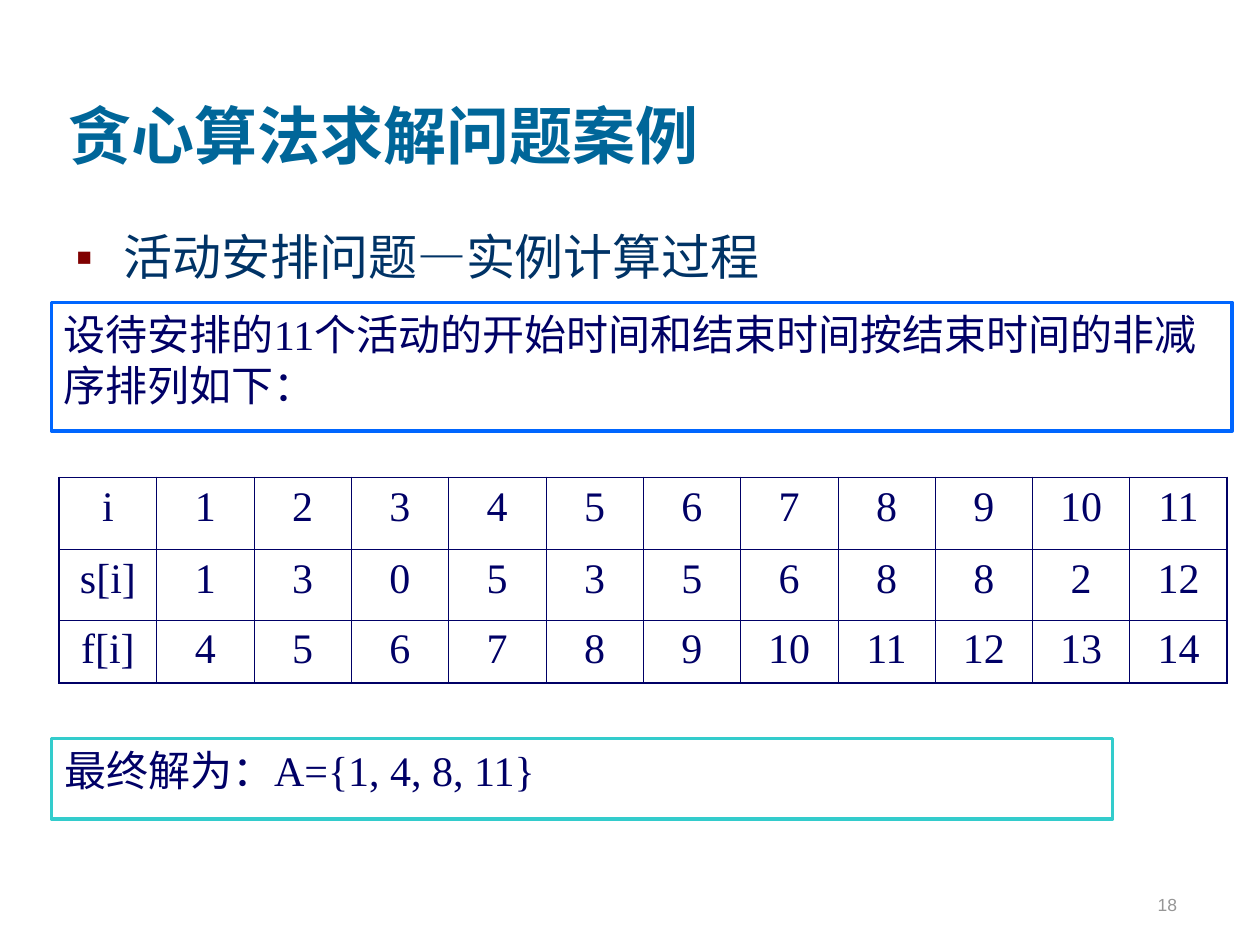
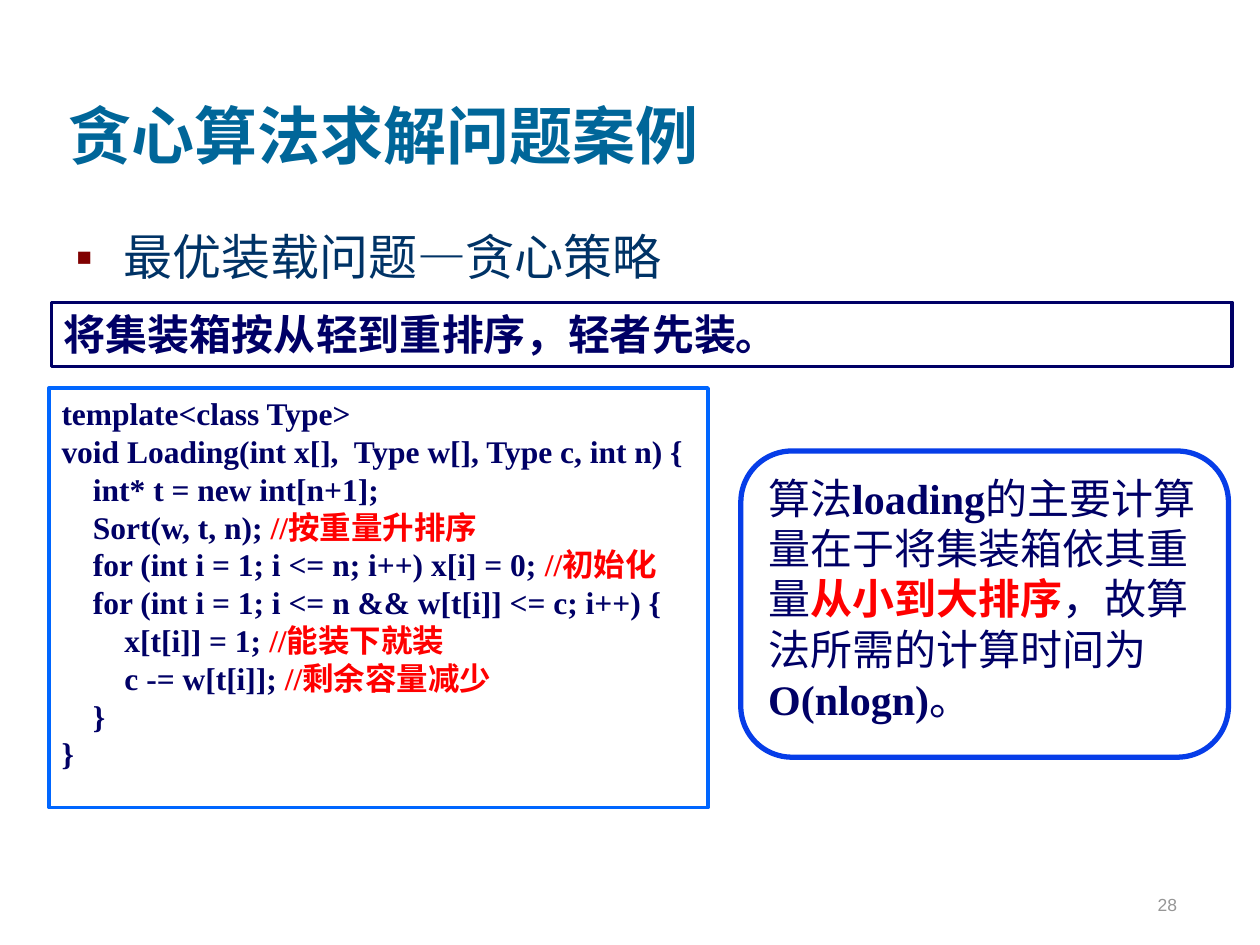
"""Builds two lecture slides on greedy algorithms."""
from dataclasses import dataclass

from lxml.etree import SubElement
from pptx import Presentation
from pptx.dml.color import RGBColor
from pptx.enum.lang import MSO_LANGUAGE_ID
from pptx.enum.shapes import MSO_SHAPE
from pptx.enum.text import MSO_ANCHOR, MSO_AUTO_SIZE, PP_ALIGN
from pptx.oxml.ns import qn
from pptx.util import Emu, Inches, Pt

SLIDE_W, SLIDE_H = Inches(10), Inches(7.5)
COLS, ROWS = 100, 75
NAVY, TITLE_BLUE, BODY_BLUE = "000066", "006699", "003366"
BRIGHT_BLUE, ROYAL_BLUE, TEAL = "0066FF", "063DE8", "33CCCC"
RED, MAROON, GRAY, WHITE = "FF0000", "800000", "969696", "FFFFFF"
SERIF, SANS, ACCENT_FONT = "Times New Roman", "Arial", "Vollkorn"
TITLE = "贪心算法求解问题案例"
THIN, THICK = 0.45, 1.08


@dataclass(frozen=True)
class Box:
    """A rectangle in columns and rows of the slide grid."""
    left: float
    top: float
    width: float
    height: float

    def emu(self) -> tuple:
        """Return left, top, width and height as lengths."""
        return col(self.left), row(self.top), col(self.width), row(self.height)


@dataclass(frozen=True)
class Span:
    """A piece of text with its own format."""
    text: str
    color: str = NAVY
    bold: bool = False
    font: str = SERIF


@dataclass(frozen=True)
class Panel:
    """An outlined box holding paragraphs of spans."""
    box: Box
    line: str
    paragraphs: list
    size: int = 24
    weight: float = 2
    shape: MSO_SHAPE = MSO_SHAPE.RECTANGLE


TITLE_BOX = Box(4.4, 1.7, 85, 12.5)
BODY_BOX = Box(5, 17.5, 89.4, 48.8)
NUMBER_BOX = Box(73.6, 68.1, 20.8, 5)
TABLE_BOX = Box(4.7, 37.9, 92.7, 16.3)
TABLE_ROWS = [5.7, 5.6, 5]

ACTIVITIES = [
    ["i", *range(1, 12)],
    ["s[i]", 1, 3, 0, 5, 3, 5, 6, 8, 8, 2, 12],
    ["f[i]", *range(4, 15)],
]

CODE = """template<class Type>
void Loading(int x[],  Type w[], Type c, int n) {
    int* t = new int[n+1];
    Sort(w, t, n); //按重量升排序
    for (int i = 1; i <= n; i++) x[i] = 0; //初始化
    for (int i = 1; i <= n && w[t[i]] <= c; i++) {
        x[t[i]] = 1; //能装下就装
        c -= w[t[i]]; //剩余容量减少
    }
}"""


def col(n: float) -> Emu:
    """Return the length of n grid columns."""
    return Emu(round(SLIDE_W * n / COLS))


def row(n: float) -> Emu:
    """Return the length of n grid rows."""
    return Emu(round(SLIDE_H * n / ROWS))


def rgb(value: str) -> RGBColor:
    """Turn a hex string into a colour."""
    return RGBColor.from_string(value)


def add_text(p, text: str, *, size: float, color: str = NAVY,
             bold: bool = False, font: str = SERIF) -> None:
    """Append a formatted run to a paragraph."""
    r = p.add_run()
    r.text = text
    r.font.size = Pt(size)
    r.font.bold = bold
    r.font.name = font
    r.font.color.rgb = rgb(color)
    r.font.language_id = MSO_LANGUAGE_ID.SIMPLIFIED_CHINESE


def add_spans(p, spans: list, size: float) -> None:
    """Append spans of one size to a paragraph."""
    for span in spans:
        add_text(p, span.text, size=size, color=span.color,
                 bold=span.bold, font=span.font)


def code_spans(line: str) -> list:
    """Split a code line into bold code and its red comment."""
    code, mark, note = line.partition("//")
    spans = [Span(code, bold=True)]
    return spans + [Span(mark + note, RED, True)] if mark else spans


def add_bullet(p) -> None:
    """Give a paragraph a hanging square bullet."""
    pPr = p._p.get_or_add_pPr()
    pPr.set("marL", str(Inches(0.38)))
    pPr.set("indent", str(-Inches(0.38)))
    SubElement(SubElement(pPr, qn("a:buClr")), qn("a:srgbClr"), val=MAROON)
    SubElement(pPr, qn("a:buFont"), typeface=SANS)
    SubElement(pPr, qn("a:buChar"), char="▪")


def place(sp, box: Box) -> None:
    """Move a shape to a box."""
    sp.left, sp.top, sp.width, sp.height = box.emu()


def add_base(prs, number: int, topic: list):
    """Add a slide with its title, bulleted topic and number."""
    s = prs.slides.add_slide(prs.slide_layouts[1])
    title, body = s.shapes.title, s.placeholders[1]
    place(title, TITLE_BOX)
    place(body, BODY_BOX)
    for sp, anchor in ((title, MSO_ANCHOR.BOTTOM), (body, MSO_ANCHOR.TOP)):
        sp.text_frame.vertical_anchor = anchor
        sp.text_frame.auto_size = MSO_AUTO_SIZE.NONE
    p = title.text_frame.paragraphs[0]
    p.alignment = PP_ALIGN.LEFT
    add_text(p, TITLE, size=36, color=TITLE_BLUE, bold=True)
    p = body.text_frame.paragraphs[0]
    p.space_before = Pt(0)
    add_bullet(p)
    add_spans(p, topic, 28)

    tf = s.shapes.add_textbox(*NUMBER_BOX.emu()).text_frame
    tf.word_wrap = True
    tf.vertical_anchor = MSO_ANCHOR.BOTTOM
    p = tf.paragraphs[0]
    p.alignment = PP_ALIGN.RIGHT
    add_text(p, str(number), size=10, color=GRAY, font=SANS)
    return s


def add_panel(s, panel: Panel) -> None:
    """Draw a white outlined panel with its text."""
    sp = s.shapes.add_shape(panel.shape, *panel.box.emu())
    sp.shadow.inherit = False
    sp.fill.solid()
    sp.fill.fore_color.rgb = rgb(WHITE)
    sp.line.color.rgb = rgb(panel.line)
    sp.line.width = Pt(panel.weight)
    tf = sp.text_frame
    tf.word_wrap = True
    tf.vertical_anchor = MSO_ANCHOR.TOP
    for i, spans in enumerate(panel.paragraphs):
        p = tf.add_paragraph() if i else tf.paragraphs[0]
        p.alignment = PP_ALIGN.LEFT
        add_spans(p, spans, panel.size)


def set_borders(cell, outer: dict) -> None:
    """Draw cell borders, thick on the outer sides."""
    tcPr = cell._tc.get_or_add_tcPr()
    for i, (side, is_outer) in enumerate(outer.items()):
        width = Pt(THICK if is_outer else THIN)
        ln = SubElement(tcPr, qn(f"a:ln{side}"), w=str(width))
        fill = SubElement(ln, qn("a:solidFill"))
        SubElement(fill, qn("a:srgbClr"), val=NAVY)
        tcPr.insert(i, ln)


def add_grid(s, values: list) -> None:
    """Add the table of activities."""
    n_rows, n_cols = len(values), len(values[0])
    table = s.shapes.add_table(n_rows, n_cols, *TABLE_BOX.emu()).table
    table.first_row = table.horz_banding = False
    for column in table.columns:
        column.width = col(TABLE_BOX.width / n_cols)
    for i, line in enumerate(values):
        table.rows[i].height = row(TABLE_ROWS[i])
        for j, value in enumerate(line):
            cell = table.cell(i, j)
            cell.fill.background()
            set_borders(cell, {"L": j == 0, "R": j == n_cols - 1,
                               "T": i == 0, "B": i == n_rows - 1})
            p = cell.text_frame.paragraphs[0]
            p.alignment = PP_ALIGN.CENTER
            add_text(p, str(value), size=24)


def build_activities(prs) -> None:
    """Build the activity selection slide."""
    s = add_base(prs, 18, [Span("活动安排问题—", BODY_BLUE),
                           Span("实例计算过程", BODY_BLUE, font=ACCENT_FONT)])
    add_panel(s, Panel(Box(4.1, 24, 93.7, 10.2), BRIGHT_BLUE, [
        [Span("设待安排的11个活动的开始时间和结束时间按结束时间的非减序排列如下：")]]))
    add_grid(s, ACTIVITIES)
    add_panel(s, Panel(Box(4.1, 58.6, 84.2, 6.4), TEAL,
                       [[Span("最终解为：A={1, 4, 8, 11}")]]))


def build_loading(prs) -> None:
    """Build the optimal loading slide."""
    s = add_base(prs, 28, [Span("最优装载问题—贪心策略", BODY_BLUE)])
    cost = [
        Span("算法"), Span("loading", bold=True),
        Span("的主要计算量在于将集装箱依其重量"),
        Span("从小到大排序", RED, True),
        Span("，故算法所需的计算时间为 "),
        Span("O(nlogn)", bold=True), Span("。"),
    ]
    for panel in (
        Panel(Box(4.1, 24, 93.7, 5.1), NAVY,
              [[Span("将集装箱按从轻到重排序，轻者先装。", bold=True)]]),
        Panel(Box(3.9, 30.8, 52.3, 33.3), BRIGHT_BLUE,
              [code_spans(line) for line in CODE.splitlines()], size=18),
        Panel(Box(58.8, 35.8, 38.7, 24.3), ROYAL_BLUE, [cost], weight=3,
              shape=MSO_SHAPE.ROUNDED_RECTANGLE),
    ):
        add_panel(s, panel)


def main() -> None:
    """Build and save the presentation."""
    prs = Presentation()
    prs.slide_width, prs.slide_height = SLIDE_W, SLIDE_H
    build_activities(prs)
    build_loading(prs)
    prs.save("out.pptx")


if __name__ == "__main__":
    main()
